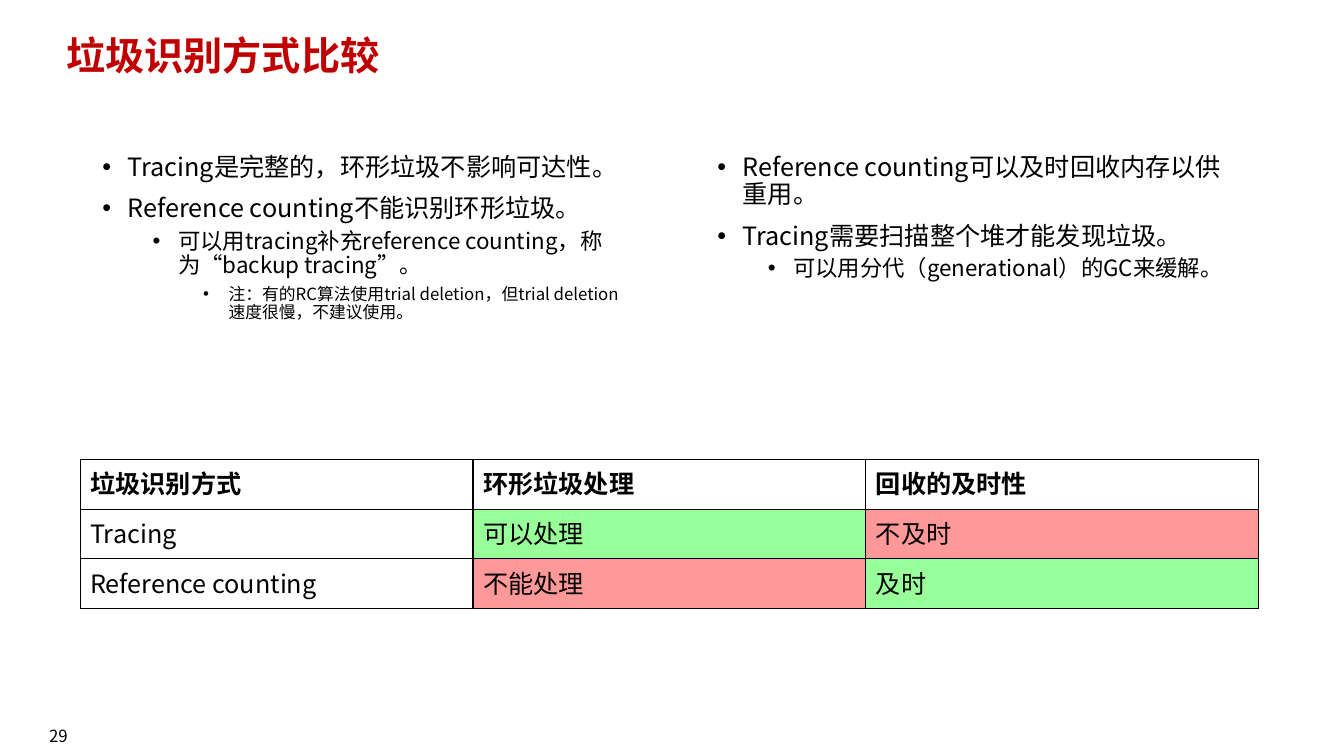
from lxml import etree
from pptx import Presentation
from pptx.dml.color import RGBColor
from pptx.enum.text import MSO_ANCHOR, PP_ALIGN
from pptx.oxml.ns import qn
from pptx.util import Cm, Pt

TOP, MIDDLE = MSO_ANCHOR.TOP, MSO_ANCHOR.MIDDLE
LEFT, CENTER = PP_ALIGN.LEFT, PP_ALIGN.CENTER
BLACK, RED = "000000", "C00000"
GOOD, BAD = "99FF99", "FF9999"
FONT = "Noto Sans CJK SC"
SIZES = (18, 16, 12)  # bullet text by level


def color(code):
    return RGBColor.from_string(code)


class Deck:
    def __init__(self, wide, high):
        self.prs = Presentation()
        self.prs.slide_width, self.prs.slide_height = Cm(wide), Cm(high)
        self.slide = self.prs.slides.add_slide(self.prs.slide_layouts[6])

    def style(self, para, size, bold=False, ink=BLACK):
        font = para.font
        font.name, font.size, font.bold = FONT, Pt(size), bold
        font.color.rgb = color(ink)
        base = para._p.pPr.find(qn("a:defRPr"))
        etree.SubElement(base, qn("a:ea"), typeface=FONT)

    def frame(self, x, y, w, h, anchor=TOP):
        box = self.slide.shapes.add_textbox(Cm(x), Cm(y), Cm(w), Cm(h))
        frame = box.text_frame
        frame.word_wrap, frame.vertical_anchor = True, anchor
        return frame

    def label(self, text, place, size, bold=False, ink=BLACK, align=LEFT,
              anchor=TOP, space=1.0):
        para = self.frame(*place, anchor).paragraphs[0]
        para.text, para.alignment, para.line_spacing = text, align, space
        self.style(para, size, bold, ink)

    def bullets(self, items, place):
        frame = self.frame(*place)
        for i, (level, text) in enumerate(items):
            para = frame.add_paragraph() if i else frame.paragraphs[0]
            para.text, para.level, para.line_spacing = text, level, 0.9
            if i:
                para.space_before = Pt(5 if level else 10)
            props = para._p.get_or_add_pPr()
            props.set("marL", str(Cm(0.64 + 1.27 * level)))
            props.set("indent", str(-Cm(0.64)))
            etree.SubElement(props, qn("a:buFont"), typeface="Arial")
            etree.SubElement(props, qn("a:buChar"), char="•")
            self.style(para, SIZES[level])

    def border(self, cell):
        props = cell._tc.get_or_add_tcPr()
        for i, side in enumerate(("lnL", "lnR", "lnT", "lnB")):
            line = etree.Element(qn("a:" + side), w=str(Pt(1)))
            fill = etree.SubElement(line, qn("a:solidFill"))
            etree.SubElement(fill, qn("a:srgbClr"), val=BLACK)
            props.insert(i, line)

    def table(self, rows, x, y, wide, high):
        count = len(rows[0])
        grid = self.slide.shapes.add_table(
            len(rows), count, Cm(x), Cm(y),
            Cm(wide * count), Cm(high * len(rows))).table
        for r, row in enumerate(rows):
            for c, (text, fill) in enumerate(row):
                cell = grid.cell(r, c)
                cell.text = text
                self.style(cell.text_frame.paragraphs[0], 18, bold=r == 0)
                if fill:
                    cell.fill.solid()
                    cell.fill.fore_color.rgb = color(fill)
                else:
                    cell.fill.background()
                self.border(cell)


def main():
    deck = Deck(33.87, 19.05)

    # Page number and title
    deck.label("29", (0, 18.03, 2.95, 1.02), 12, align=CENTER, anchor=MIDDLE)
    deck.label("垃圾识别方式比较", (1.42, 0.79, 29.21, 1.65), 28, True, RED,
               space=0.9)

    # Two columns of bullets
    deck.bullets([
        (0, "Tracing是完整的，环形垃圾不影响可达性。"),
        (0, "Reference counting不能识别环形垃圾。"),
        (1, "可以用tracing补充reference counting，称为“backup tracing”。"),
        (2, "注：有的RC算法使用trial deletion，但trial deletion速度很慢，不建议使用。"),
    ], (2.33, 3.78, 13.71, 12.09))
    deck.bullets([
        (0, "Reference counting可以及时回收内存以供重用。"),
        (0, "Tracing需要扫描整个堆才能发现垃圾。"),
        (1, "可以用分代（generational）的GC来缓解。"),
    ], (17.83, 3.78, 13.7, 12.09))

    # Comparison table
    deck.table([
        [("垃圾识别方式", None), ("环形垃圾处理", None), ("回收的及时性", None)],
        [("Tracing", None), ("可以处理", GOOD), ("不及时", BAD)],
        [("Reference counting", None), ("不能处理", BAD), ("及时", GOOD)],
    ], 2.02, 11.58, 9.9, 1.25)

    deck.prs.save("out.pptx")


if __name__ == "__main__":
    main()
